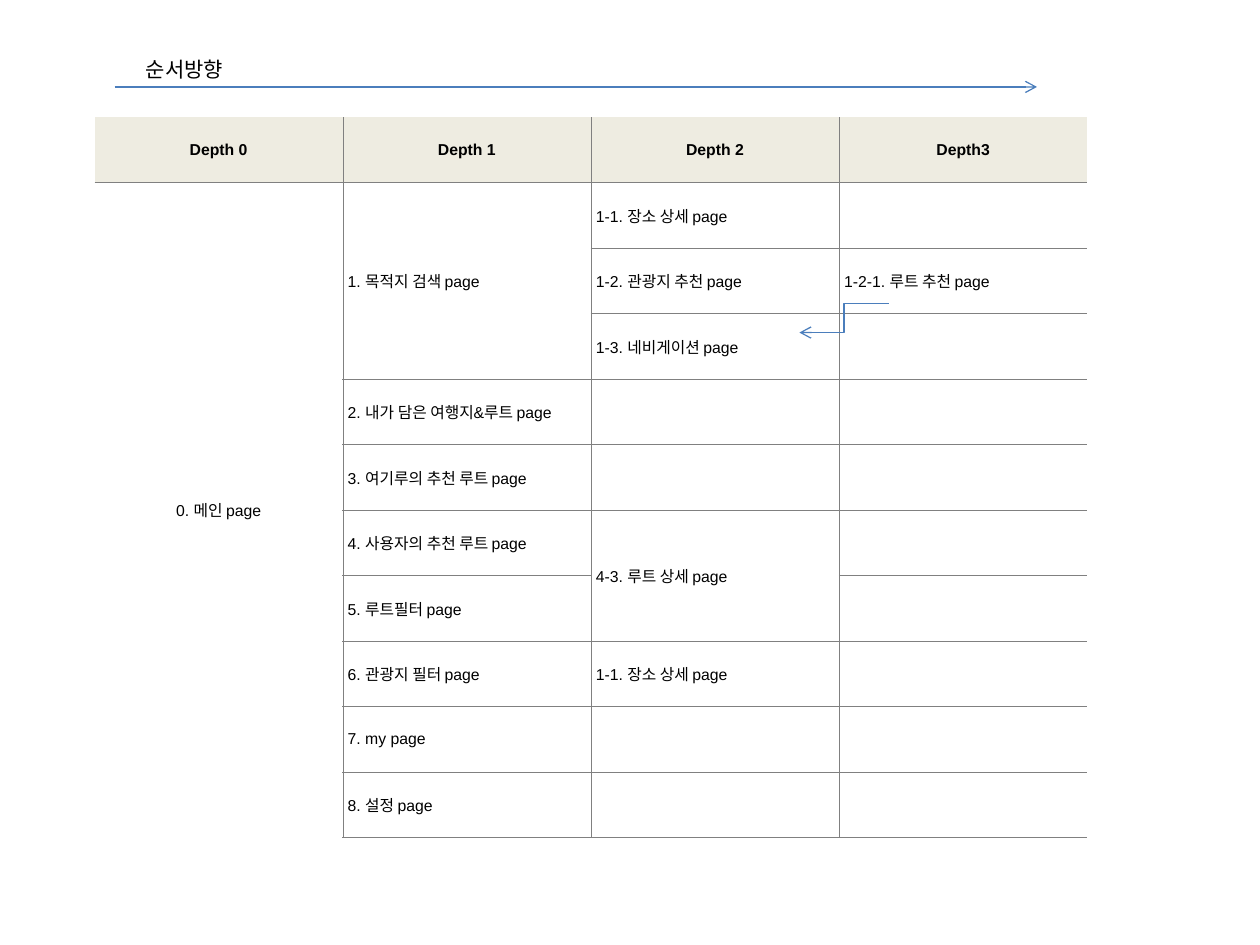
from dataclasses import dataclass

from lxml import etree
from pptx import Presentation
from pptx.dml.color import RGBColor
from pptx.enum.shapes import MSO_CONNECTOR
from pptx.enum.text import MSO_ANCHOR, MSO_AUTO_SIZE, PP_ALIGN
from pptx.oxml.ns import qn
from pptx.util import Inches, Pt

LINE, ELBOW = MSO_CONNECTOR.STRAIGHT, MSO_CONNECTOR.ELBOW
MIDDLE, FIT = MSO_ANCHOR.MIDDLE, MSO_AUTO_SIZE.SHAPE_TO_FIT_TEXT
LEFT, CENTER = PP_ALIGN.LEFT, PP_ALIGN.CENTER


@dataclass(frozen=True)
class Theme:
    latin: str = "Arial"
    korean: str = "Noto Sans CJK KR"
    ink: str = "000000"
    head: str = "EEECE1"
    rule: str = "808080"
    arrow: str = "4B7EBC"
    body: float = 9
    title: float = 12
    thin: float = 0.25
    stroke: float = 0.75


THEME = Theme()
WIDTH, HEIGHT = 10, 7.5
X, Y, COL, ROW = 0.75, 0.93, 1.97, 0.52  # table grid
PAD = {"margin_left": Inches(0.04), "margin_right": Inches(0.04),
       "margin_top": Inches(0.08), "margin_bottom": Inches(0.08),
       "vertical_anchor": MIDDLE}

# None continues the cell above; an empty string is a blank cell.
PAGES = [
    ["Depth 0", "Depth 1", "Depth 2", "Depth3"],
    ["0. 메인 page", "1. 목적지 검색 page", "1-1. 장소 상세 page", ""],
    [None, None, "1-2. 관광지 추천 page", "1-2-1. 루트 추천 page"],
    [None, None, "1-3. 네비게이션 page", ""],
    [None, "2. 내가 담은 여행지&루트 page", "", ""],
    [None, "3. 여기루의 추천 루트 page", "", ""],
    [None, "4. 사용자의 추천 루트 page", "4-3. 루트 상세 page", ""],
    [None, "5. 루트필터 page", None, ""],
    [None, "6. 관광지 필터 page", "1-1. 장소 상세 page", ""],
    [None, "7. my page", "", ""],
    [None, "8. 설정 page", "", ""],
]


def apply(target, values):
    for name, value in values.items():
        setattr(target, name, value)


def write(para, text, size, font, bold=False):
    run = para.add_run()
    run.text = text
    apply(run.font, {"name": font, "size": Pt(size), "bold": bold})
    run.font.color.rgb = RGBColor.from_string(THEME.ink)
    east = etree.SubElement(run.font._element, qn("a:ea"))
    east.set("typeface", THEME.korean)


def edge(cell, side, shown):
    """Rule one side of a cell, or clear it."""
    props = cell._tc.get_or_add_tcPr()
    line = etree.SubElement(props, qn(f"a:ln{side}"), w=str(Pt(THEME.thin)))
    if shown:
        fill = etree.SubElement(line, qn("a:solidFill"))
        etree.SubElement(fill, qn("a:srgbClr"), val=THEME.rule)
    else:
        etree.SubElement(line, qn("a:noFill"))


def style(cell, row, col):
    """Rule the inner grid and the foot; leave merged seams open."""
    last = row == len(PAGES) - 1
    sides = {"L": col > 0, "R": col < len(PAGES[0]) - 1,
             "T": row > 0 and PAGES[row][col] is not None,
             "B": last or PAGES[row + 1][col] is not None}
    for side, shown in sides.items():
        edge(cell, side, shown)
    if row == 0:
        cell.fill.solid()
        cell.fill.fore_color.rgb = RGBColor.from_string(THEME.head)
    else:
        cell.fill.background()
    apply(cell, PAD)


def fill_cell(cell, row, col):
    style(cell, row, col)
    text = PAGES[row][col]
    if text:
        para = cell.text_frame.paragraphs[0]
        para.alignment = CENTER if row == 0 or col == 0 else LEFT
        if col == 1 and row > 3:
            para.space_after = Pt(6)
        write(para, text, THEME.body, THEME.latin, row == 0)


def merge(table):
    for col in range(len(PAGES[0])):
        start = 0
        for row in range(1, len(PAGES) + 1):
            if row < len(PAGES) and PAGES[row][col] is None:
                continue
            if row - start > 1:
                table.cell(start, col).merge(table.cell(row - 1, col))
            start = row


def add_grid(slide):
    rows, cols = len(PAGES), len(PAGES[0])
    table = slide.shapes.add_table(rows, cols, Inches(X), Inches(Y), Inches(COL * cols),
                                   Inches(ROW * rows)).table
    apply(table, {"first_row": False, "horz_banding": False})
    for band in table.columns:
        band.width = Inches(COL)
    for band in table.rows:
        band.height = Inches(ROW)
    merge(table)
    for row in range(rows):
        for col in range(cols):
            fill_cell(table.cell(row, col), row, col)


def add_arrow(slide, kind, start, end):
    link = slide.shapes.add_connector(kind, *map(Inches, start + end))
    link.line.color.rgb = RGBColor.from_string(THEME.arrow)
    link.line.width = Pt(THEME.stroke)
    etree.SubElement(link.line._get_or_add_ln(), qn("a:tailEnd"), type="arrow")
    etree.SubElement(link._element.spPr, qn("a:effectLst"))


def add_label(slide, text, *box):
    frame = slide.shapes.add_textbox(*map(Inches, box)).text_frame
    apply(frame, {"word_wrap": False, "auto_size": FIT})
    write(frame.paragraphs[0], text, THEME.title, THEME.korean)


def main():
    deck = Presentation()
    apply(deck, {"slide_width": Inches(WIDTH), "slide_height": Inches(HEIGHT)})
    slide = deck.slides.add_slide(deck.slide_layouts[6])
    add_grid(slide)
    add_arrow(slide, ELBOW, (X + 3.2 * COL, 2.41), (X + 2.84 * COL, 2.64))
    add_arrow(slide, LINE, (0.91, 0.69), (8.23, 0.69))
    add_label(slide, "순서방향", 1.06, 0.4, 0.88, 0.3)
    deck.save("out.pptx")


if __name__ == "__main__":
    main()
